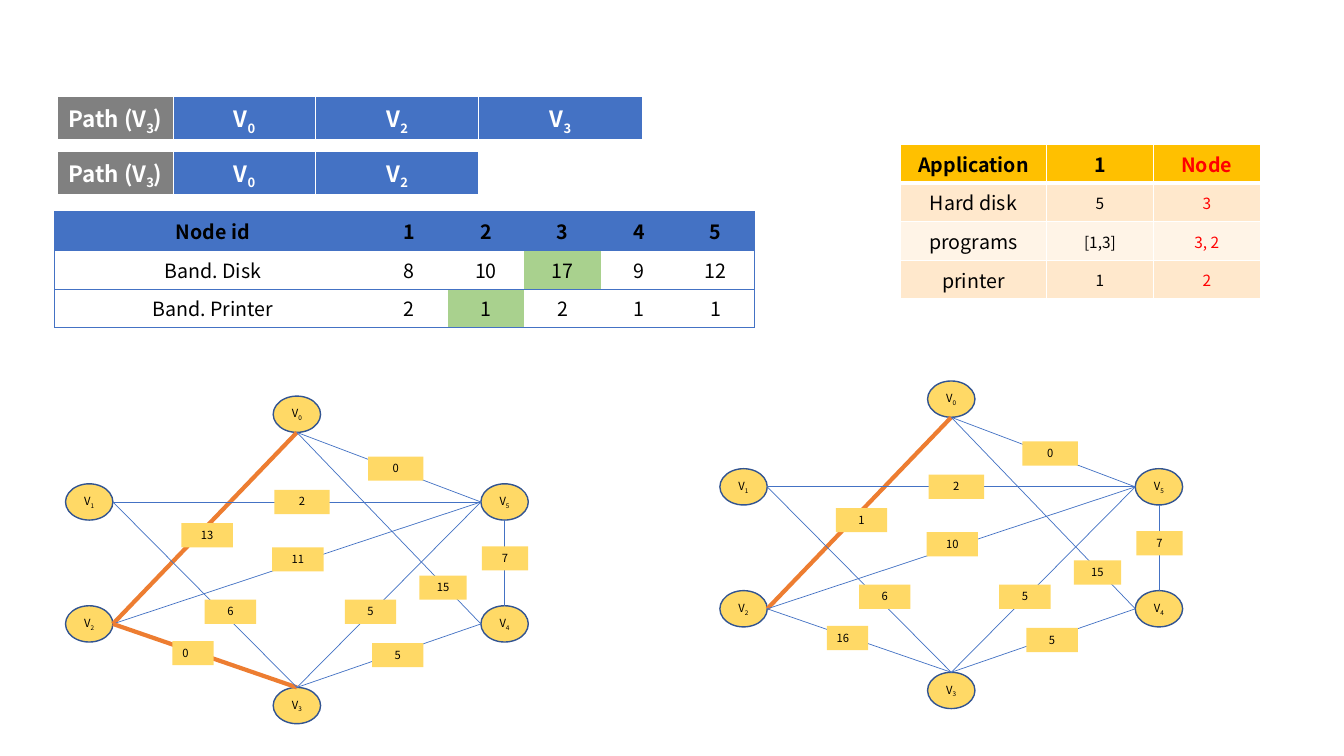
from lxml import etree
from pptx import Presentation
from pptx.dml import color
from pptx.enum import shapes, text
from pptx.oxml import ns
from pptx.util import Inches, Pt

FONT = "Noto Sans CJK JP"
BLACK = color.RGBColor(0x00, 0x00, 0x00)
WHITE = color.RGBColor(0xFF, 0xFF, 0xFF)
RED = color.RGBColor(0xFF, 0x00, 0x00)
BLUE = color.RGBColor(0x44, 0x72, 0xC4)
NAVY = color.RGBColor(0x32, 0x54, 0x91)
ORANGE = color.RGBColor(0xED, 0x7D, 0x31)
YELLOW = color.RGBColor(0xFF, 0xD9, 0x66)
GOLD = color.RGBColor(0xFF, 0xC0, 0x00)
PEACH = color.RGBColor(0xFF, 0xE8, 0xCC)
CREAM = color.RGBColor(0xFF, 0xF4, 0xE7)
GREEN = color.RGBColor(0xA9, 0xD1, 0x8E)
GREY = color.RGBColor(0x80, 0x80, 0x80)

CENTER = text.PP_ALIGN.CENTER
LEFT = text.PP_ALIGN.LEFT
WIDE_INSETS = (0.1, 0.05, 0.1, 0.05)
TIGHT_INSETS = (0.01, 0.01, 0.01, 0)

NODE_W, NODE_H = 0.47, 0.36
LABEL_H = 0.24
NODES = {
    "V_0": (2.06, 0), "V_1": (0, 0.87), "V_2": (0, 2.08),
    "V_3": (2.06, 2.89), "V_5": (4.12, 0.87), "V_4": (4.12, 2.08),
}
SIDES = {"top": (0.5, 0), "bottom": (0.5, 1), "left": (0, 0.5), "right": (1, 0.5)}
EDGES = [
    ("V_0", "bottom", "V_2", "right", (1.15, 1.26, 0.51)),
    ("V_0", "bottom", "V_4", "left", (3.51, 1.78, 0.47)),
    ("V_5", "left", "V_2", "right", (2.05, 1.5, 0.51)),
    ("V_3", "top", "V_2", "right", (1.06, 2.43, 0.41)),
    ("V_3", "top", "V_4", "left", (3.04, 2.45, 0.51)),
    ("V_3", "top", "V_5", "left", (2.77, 2.02, 0.51)),
    ("V_4", "top", "V_5", "bottom", (4.13, 1.49, 0.46)),
    ("V_1", "right", "V_5", "left", (2.07, 0.93, 0.55)),
    ("V_1", "right", "V_3", "top", (1.38, 2.02, 0.51)),
    ("V_0", "bottom", "V_5", "left", (3, 0.6, 0.55)),
]


def write(frame, words, size, ink, bold=False, align=CENTER):
    para = frame.paragraphs[0]
    para.alignment = align
    first, *rest = words.split("_")
    pieces = [(first, False)]
    for part in rest:
        pieces += [(part[0], True), (part[1:], False)]
    for piece, lowered in pieces:
        if not piece:
            continue
        span = para.add_run()
        span.text = piece
        span.font.name = FONT
        span.font.size = Pt(size)
        span.font.bold = bold
        span.font.color.rgb = ink
        if lowered:
            span._r.get_or_add_rPr().set("baseline", "-25000")


def set_borders(cell, borders):
    props = cell._tc.get_or_add_tcPr()
    for side in "LRTB":
        line = etree.SubElement(props, ns.qn("a:ln" + side))
        if side in borders:
            ink, width = borders[side]
            line.set("w", str(Pt(width)))
            fill = etree.SubElement(line, ns.qn("a:solidFill"))
            etree.SubElement(fill, ns.qn("a:srgbClr")).set("val", str(ink))
        else:
            line.set("w", "0")
            etree.SubElement(line, ns.qn("a:noFill"))


def style_cell(cell, words, size, ink, bold, fill, borders, insets, anchor):
    set_borders(cell, borders)
    if fill is None:
        cell.fill.background()
    else:
        cell.fill.solid()
        cell.fill.fore_color.rgb = fill
    cell.margin_left, cell.margin_top, cell.margin_right, cell.margin_bottom = map(Inches, insets)
    cell.vertical_anchor = anchor
    write(cell.text_frame, words, size, ink, bold)


def add_grid(page, left, top, widths, row_height, row_count):
    frame = page.shapes.add_table(
        row_count, len(widths), Inches(left), Inches(top),
        Inches(sum(widths)), Inches(row_height * row_count))
    grid = frame.table
    grid.first_row = grid.horz_banding = False
    for column, width in zip(grid.columns, widths):
        column.width = Inches(width)
    for row in grid.rows:
        row.height = Inches(row_height)
    return grid


def add_path_table(page, left, top, stops):
    widths = [1.15, 1.41, 1.62, 1.62][:len(stops) + 1]
    grid = add_grid(page, left, top, widths, 0.44, 1)
    borders = {side: (WHITE, 1) for side in "LRT"} | {"B": (WHITE, 3)}
    for index, words in enumerate(["Path (V_3)", *stops]):
        style_cell(grid.cell(0, index), words, 16, WHITE, True,
                   BLUE if index else GREY, borders, TIGHT_INSETS, text.MSO_ANCHOR.MIDDLE)


def add_application_table(page, left, top):
    rows = [("Application", "1", "Node"), ("Hard disk", "5", "3"),
            ("programs", "[1,3]", "3, 2"), ("printer", "1", "2")]
    fills = [GOLD, PEACH, CREAM, PEACH]
    grid = add_grid(page, left, top, [1.45, 1.06, 1.06], 0.36, len(rows))
    for r, row in enumerate(rows):
        for c, words in enumerate(row):
            borders = {side: (WHITE, 1) for side in "LRTB"}
            if r < 2:
                borders["T" if r else "B"] = (WHITE, 3)
            small = r > 0 and c > 0
            style_cell(grid.cell(r, c), words, 11 if small else 14,
                       RED if c == 2 else BLACK, r == 0, fills[r], borders,
                       TIGHT_INSETS if small else WIDE_INSETS, text.MSO_ANCHOR.MIDDLE)


def add_bandwidth_table(page, left, top):
    rows = [("Node id", "1", "2", "3", "4", "5"),
            ("Band. Disk", "8", "10", "17", "9", "12"),
            ("Band. Printer", "2", "1", "2", "1", "1")]
    chosen = {(1, 3), (2, 2)}
    grid = add_grid(page, left, top, [3.14] + [0.76] * 5, 0.37, len(rows))
    for r, row in enumerate(rows):
        for c, words in enumerate(row):
            sides = "TB" + ("L" if c == 0 else "") + ("R" if c == len(row) - 1 else "")
            fill = BLUE if r == 0 else GREEN if (r, c) in chosen else None
            style_cell(grid.cell(r, c), words, 14, BLACK, r == 0, fill,
                       {side: (BLUE, 0.5) for side in sides},
                       WIDE_INSETS, text.MSO_ANCHOR.TOP)


def add_graph(page, left, top, weights, route):
    def site(node, side):
        x, y = NODES[node]
        across, down = SIDES[side]
        return Inches(left + x + across * NODE_W), Inches(top + y + down * NODE_H)

    for name, (x, y) in NODES.items():
        node = page.shapes.add_shape(
            shapes.MSO_SHAPE.OVAL, Inches(left + x), Inches(top + y),
            Inches(NODE_W), Inches(NODE_H))
        node.shadow.inherit = False
        node.fill.solid()
        node.fill.fore_color.rgb = YELLOW
        node.line.color.rgb = NAVY
        node.line.width = Pt(1)
        node.text_frame.vertical_anchor = text.MSO_ANCHOR.MIDDLE
        write(node.text_frame, name, 8, BLACK)

    for start, start_side, end, end_side, _ in EDGES:
        edge = page.shapes.add_connector(
            shapes.MSO_CONNECTOR.STRAIGHT, *site(start, start_side), *site(end, end_side))
        on_route = (start, end) in route
        edge.line.color.rgb = ORANGE if on_route else BLUE
        edge.line.width = Pt(3 if on_route else 0.5)
        etree.SubElement(edge._element.spPr, ns.qn("a:effectLst"))

    for (start, _, end, _, (x, y, width)), weight in zip(EDGES, weights):
        box = page.shapes.add_textbox(
            Inches(left + x), Inches(top + y), Inches(width), Inches(LABEL_H))
        box.fill.solid()
        box.fill.fore_color.rgb = YELLOW
        box.text_frame.word_wrap = True
        box.text_frame.auto_size = text.MSO_AUTO_SIZE.SHAPE_TO_FIT_TEXT
        align = LEFT if (start, end) == ("V_3", "V_2") else CENTER
        write(box.text_frame, str(weight), 8, BLACK, align=align)


def main():
    deck = Presentation()
    deck.slide_width, deck.slide_height = Inches(13.33), Inches(7.5)
    page = deck.slides.add_slide(deck.slide_layouts[6])
    add_application_table(page, 8.93, 1.43)
    add_bandwidth_table(page, 0.54, 2.1)
    add_graph(page, 0.65, 3.93, [13, 15, 11, 0, 5, 5, 7, 2, 6, 0],
              {("V_0", "V_2"), ("V_3", "V_2")})
    add_path_table(page, 0.57, 0.96, ["V_0", "V_2", "V_3"])
    add_graph(page, 7.14, 3.78, [1, 15, 10, 16, 5, 5, 7, 2, 6, 0], {("V_0", "V_2")})
    add_path_table(page, 0.57, 1.5, ["V_0", "V_2"])
    deck.save("out.pptx")


if __name__ == "__main__":
    main()
